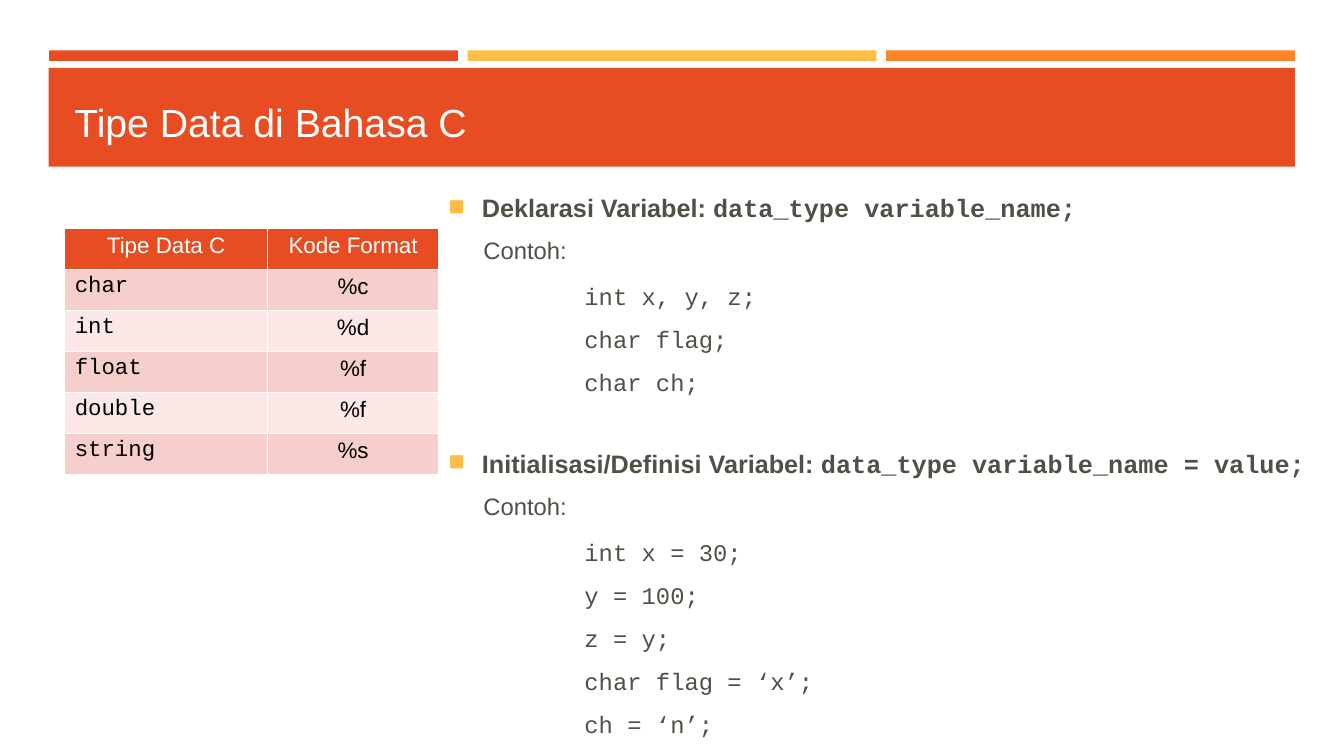
from lxml import etree
from pptx import Presentation
from pptx.dml.color import RGBColor
from pptx.enum import shapes, text
from pptx.oxml import ns
from pptx.util import Pt

SANS, MONO = "Arial", "Courier New"
RED, YELLOW, ORANGE = "E84C22", "FFBD47", "FF8427"


def paint(fill, color):
    fill.solid()
    fill.fore_color.rgb = RGBColor.from_string(color)


def style(span, size, font, color, bold=False):
    span.font.size = Pt(size)
    span.font.name = font
    span.font.bold = bold
    paint(span.font.fill, color)


deck = Presentation()
deck.slide_width, deck.slide_height = Pt(960), Pt(540)
page = deck.slides.add_slide(deck.slide_layouts[6])

# Colour strips and title band
bands = [(35, 36, 292, 7.5, RED), (334, 36, 292, 7.5, YELLOW),
         (633, 36, 292, 7.5, ORANGE), (34.8, 48.5, 890.2, 70.5, RED)]
for left, top, width, height, color in bands:
    band = page.shapes.add_shape(shapes.MSO_SHAPE.RECTANGLE,
                                 Pt(left), Pt(top), Pt(width), Pt(height))
    band.shadow.inherit = False
    paint(band.fill, color)
    band.line.fill.background()

# Title
title = page.shapes.add_textbox(Pt(46), Pt(55.5), Pt(868), Pt(63.5))
title.text_frame.word_wrap = True
title.text_frame.vertical_anchor = text.MSO_ANCHOR.MIDDLE
title.text_frame.text = "Tipe Data di Bahasa C"
style(title.text_frame.paragraphs[0].runs[0], 28, SANS, "FFFFFF")

# Declarations and initialisations
sections = [
    ("Deklarasi Variabel: ", "data_type variable_name;",
     ["int x, y, z;", "char flag;", "char ch;"]),
    ("Initialisasi/Definisi Variabel: ", "data_type variable_name = value;",
     ["int x = 30;", "y = 100;", "z = y;", "char flag = ‘x’;", "ch = ‘n’;"]),
]
body = page.shapes.add_textbox(Pt(313.2), Pt(134), Pt(632), Pt(406))
frame = body.text_frame
frame.word_wrap = True
for number, (heading, syntax, examples) in enumerate(sections):
    para = frame.add_paragraph() if number else frame.paragraphs[0]
    para.space_before = Pt(37 if number else 0)
    for words, font in ((heading, SANS), (syntax, MONO)):
        span = para.add_run()
        span.text = words
        style(span, 18, font, "505046", True)

    # Square bullet with hanging indent
    props = para._p.get_or_add_pPr()
    props.set("marL", str(Pt(24)))
    props.set("indent", str(-Pt(24)))
    bullet_color = etree.SubElement(props, ns.qn("a:buClr"))
    etree.SubElement(bullet_color, ns.qn("a:srgbClr"), val=YELLOW)
    etree.SubElement(props, ns.qn("a:buSzPct"), val="80000")
    etree.SubElement(props, ns.qn("a:buChar"), char="◼")

    lines = [("Contoh:", SANS, 25, 9.4, 2)]
    lines += [(code, MONO, 97.2, 10.3, 0) for code in examples]
    for words, font, indent, before, after in lines:
        para = frame.add_paragraph()
        para.text = words
        para.space_before, para.space_after = Pt(before), Pt(after)
        para._p.get_or_add_pPr().set("marL", str(Pt(indent)))
        style(para.runs[0], 17, font, "505046")

# Table of format codes
rows = [("Tipe Data C", "Kode Format"), ("char", "%c"), ("int", "%d"),
        ("float", "%f"), ("double", "%f"), ("string", "%s")]
table = page.shapes.add_table(len(rows), 2, Pt(46.2), Pt(163),
                              Pt(267), Pt(175.8)).table
table.columns[0].width, table.columns[1].width = Pt(145), Pt(122)
for r, row in enumerate(rows):
    table.rows[r].height = Pt(29.3)
    for c, words in enumerate(row):
        cell = table.cell(r, c)
        paint(cell.fill, RED if r == 0 else ("FBE8E7", "F6CECB")[r % 2])
        cell.text_frame.text = words
        para = cell.text_frame.paragraphs[0]
        is_code = r > 0 and c == 0
        if not is_code:
            para.alignment = text.PP_ALIGN.CENTER
        style(para.runs[0], 16, MONO if is_code else SANS,
              "000000" if r else "FFFFFF")

deck.save("out.pptx")
